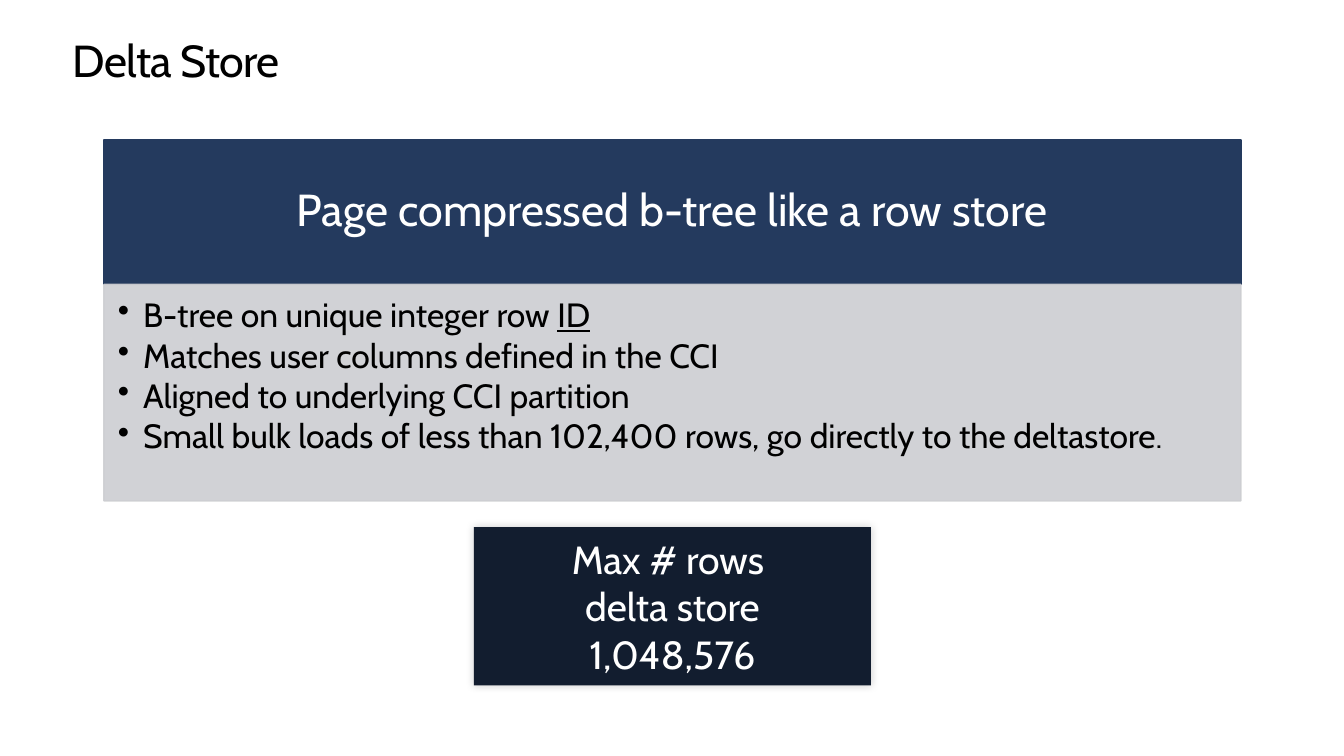
import dataclasses

import lxml.etree
import pptx
import pptx.dml.color
import pptx.enum.shapes
import pptx.enum.text
import pptx.oxml.ns
import pptx.util

Inches, Pt = pptx.util.Inches, pptx.util.Pt
Align, Anchor = pptx.enum.text.PP_ALIGN, pptx.enum.text.MSO_ANCHOR
qn = pptx.oxml.ns.qn


@dataclasses.dataclass(frozen=True)
class Theme:
    """Colours, font and type sizes of the slide."""
    font: str = "Cabin"
    ink: str = "000000"
    paper: str = "FFFFFF"
    banner: str = "243A5E"
    panel: str = "CDCED2"
    limit: str = "121D2F"
    heading_size: float = 32
    limit_size: float = 28
    bullet_size: float = 24
    stop_size: float = 22


THEME = Theme()
BULLETS = [
    [("B-tree on unique integer row ", {}), ("ID", {"underline": True})],
    [("Matches user columns defined in the CCI", {})],
    [("Aligned to underlying CCI partition", {})],
    [("Small bulk loads of less than 102,400 rows, go directly to the deltastore", {}),
     (".", {"size": Pt(THEME.stop_size)})],
]
LIMIT_LINES = ["Max # rows ", "delta store", "1,048,576"]


def assign(target, formats):
    """Set each attribute named in formats on the target."""
    for name, value in formats.items():
        setattr(target, name, value)


def add_xml(parent, tag, **attributes):
    """Append a drawing element with attributes and return it."""
    element = lxml.etree.SubElement(parent, qn(tag))
    for name, value in attributes.items():
        element.set(name, str(value))
    return element


def add_run(paragraph, text, points, color, formats=None):
    """Add a run in the theme font, with optional format overrides."""
    run = paragraph.add_run()
    run.text = text
    assign(run.font, {"name": THEME.font, "size": Pt(points), **(formats or {})})
    run.font.color.rgb = pptx.dml.color.RGBColor.from_string(color)
    return run


def set_frame(frame, insets, anchor):
    """Set the insets in inches (left, top, right, bottom) and the anchor."""
    sides = ("margin_left", "margin_top", "margin_right", "margin_bottom")
    assign(frame, dict(zip(sides, map(Inches, insets))))
    assign(frame, {"word_wrap": True, "vertical_anchor": anchor})


def add_block(slide, box, color, alpha=100, outlined=True):
    """Add a filled rectangle, optionally with a line of the same colour."""
    block = slide.shapes.add_shape(pptx.enum.shapes.MSO_SHAPE.RECTANGLE, *box)
    block.shadow.inherit = False
    paints = [block.fill]
    if outlined:
        block.line.width = Pt(1)
        paints.append(block.line.fill)
    else:
        block.line.fill.background()
    for paint in paints:
        paint.solid()
        paint.fore_color.rgb = pptx.dml.color.RGBColor.from_string(color)
    if alpha < 100:
        for tint in list(block._element.spPr.iter(qn("a:srgbClr"))):
            add_xml(tint, "a:alpha", val=alpha * 1000)
    return block


def add_title(slide, box):
    """Place and format the slide title."""
    title = slide.shapes.title
    assign(title, dict(zip(("left", "top", "width", "height"), box)))
    frame = title.text_frame
    set_frame(frame, (0, 0, 0, 0), Anchor.TOP)
    frame.auto_size = pptx.enum.text.MSO_AUTO_SIZE.SHAPE_TO_FIT_TEXT
    paragraph = frame.paragraphs[0]
    assign(paragraph, {"alignment": Align.LEFT, "line_spacing": Pt(36.2)})
    run = add_run(paragraph, "Delta Store", THEME.heading_size, THEME.ink)
    run._r.get_or_add_rPr().set("spc", "-50")


def add_banner(slide, box):
    """Add the dark heading of the feature card."""
    frame = add_block(slide, box, THEME.banner).text_frame
    set_frame(frame, (0.25, 0.14, 0.25, 0.14), Anchor.MIDDLE)
    paragraph = frame.paragraphs[0]
    assign(paragraph, {"alignment": Align.CENTER, "line_spacing": 0.9})
    add_run(paragraph, "Page compressed b-tree like a row store", THEME.heading_size, THEME.paper)


def add_features(slide, box):
    """Add the bulleted panel of the feature card."""
    frame = add_block(slide, box, THEME.panel, alpha=90).text_frame
    set_frame(frame, (0.14, 0.14, 0.19, 0.21), Anchor.TOP)
    for index, parts in enumerate(BULLETS):
        paragraph = frame.add_paragraph() if index else frame.paragraphs[0]
        assign(paragraph, {"alignment": Align.LEFT, "line_spacing": 0.9,
                           "space_after": Pt(3), "level": 1})
        properties = paragraph._p.get_or_add_pPr()
        properties.set("marL", str(Inches(0.25)))
        properties.set("indent", str(-Inches(0.25)))
        add_xml(add_xml(properties, "a:buClr"), "a:srgbClr", val=THEME.ink)
        add_xml(properties, "a:buChar", char="•")
        for text, formats in parts:
            add_run(paragraph, text, THEME.bullet_size, THEME.ink, formats)


def add_limit(slide, box):
    """Add the row limit box with its soft shadow."""
    block = add_block(slide, box, THEME.limit, outlined=False)
    effects = block._element.spPr.find(qn("a:effectLst"))
    shadow = add_xml(effects, "a:outerShdw", blurRad=Pt(6), dist=0, dir=225 * 60000)
    add_xml(add_xml(shadow, "a:srgbClr", val=THEME.ink), "a:alpha", val=20000)
    frame = block.text_frame
    set_frame(frame, (0.1, 0.05, 0.1, 0.05), Anchor.MIDDLE)
    for index, line in enumerate(LIMIT_LINES):
        paragraph = frame.add_paragraph() if index else frame.paragraphs[0]
        paragraph.alignment = Align.CENTER
        add_run(paragraph, line, THEME.limit_size, THEME.paper)


def add_feature_card(slide, box):
    """Stack the banner and the features in the given box."""
    left, top, width, height = box
    banner_height = int(height * 0.4)
    add_banner(slide, (left, top, width, banner_height))
    add_features(slide, (left, top + banner_height, width, height - banner_height))


def build_slide(deck):
    """Build the delta store slide."""
    slide = deck.slides.add_slide(deck.slide_layouts[5])

    def share(*percents):
        """Turn percentages of the slide's size into a box."""
        sides = (deck.slide_width, deck.slide_height) * 2
        return [int(side * percent / 100) for side, percent in zip(sides, percents)]

    add_title(slide, share(5.4, 4.67, 89.27, 6.67))
    add_feature_card(slide, share(7.73, 18.53, 84.6, 47.73))
    add_limit(slide, share(35.25, 69.73, 29.55, 20.93))


def main():
    """Create and save the deck."""
    deck = pptx.Presentation()
    assign(deck, {"slide_width": Inches(13.33), "slide_height": Inches(7.5)})
    build_slide(deck)
    deck.save("out.pptx")


if __name__ == "__main__":
    main()
